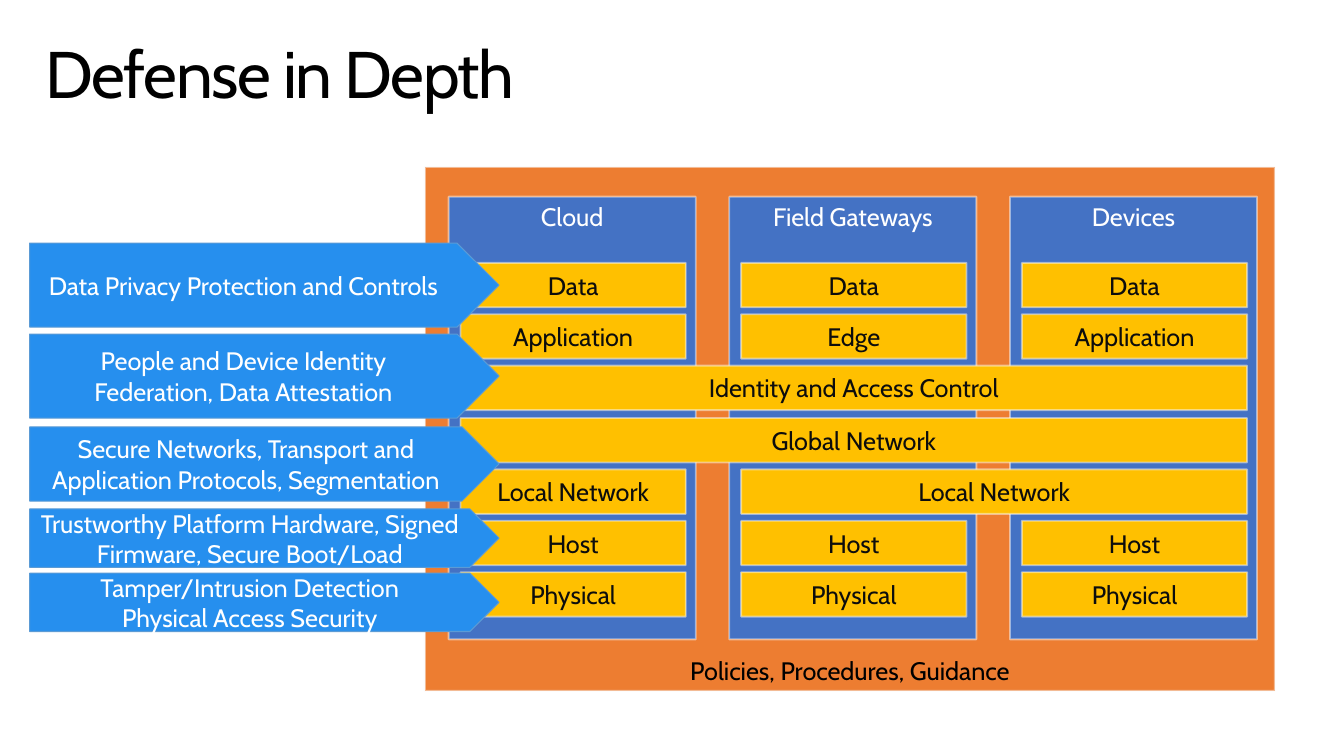
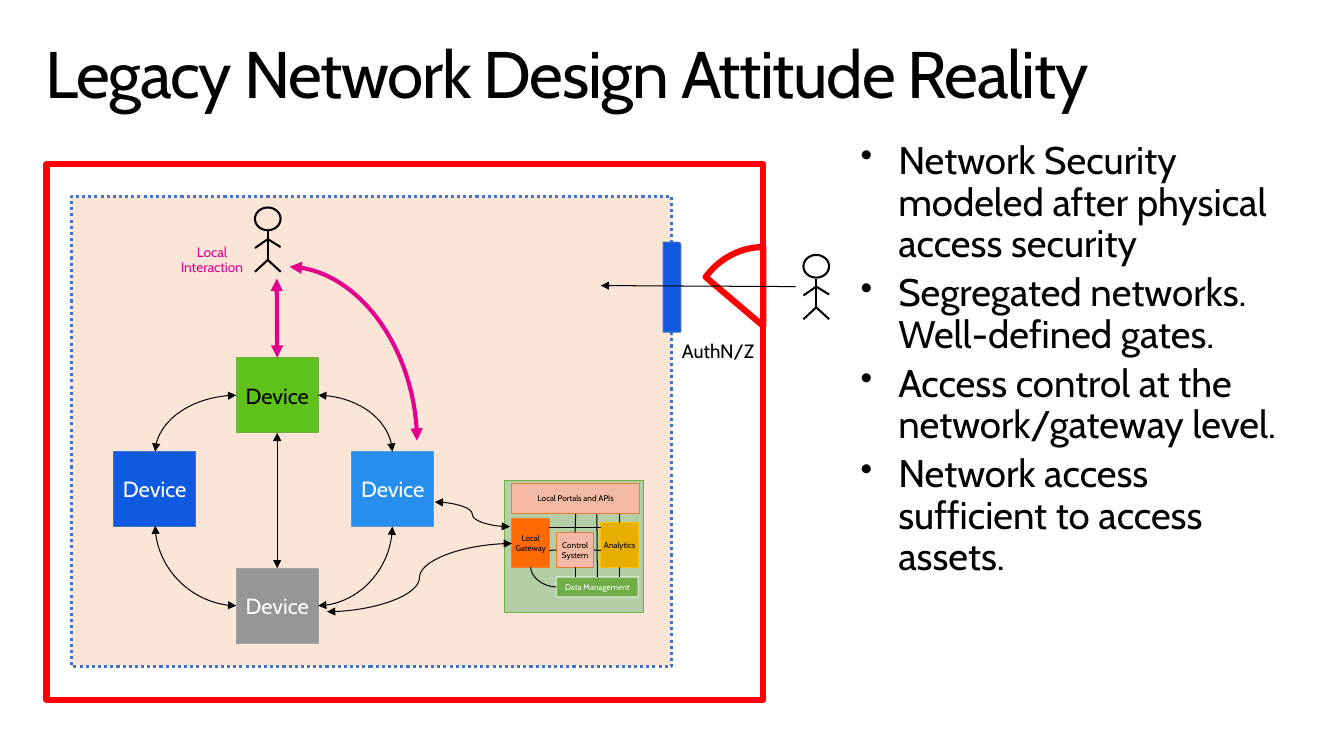
from pptx import Presentation
from pptx.dml.color import RGBColor
from pptx.enum.shapes import MSO_CONNECTOR, MSO_SHAPE
from pptx.enum.text import MSO_ANCHOR, MSO_AUTO_SIZE, PP_ALIGN
from pptx.oxml.ns import qn
from pptx.oxml.xmlchemy import OxmlElement
from pptx.util import Pt

PX = 9144  # 100 px to the inch
FONT = "Cabin"
BLACK = RGBColor(0x00, 0x00, 0x00)
INK = RGBColor(0x0D, 0x0D, 0x0D)
WHITE = RGBColor(0xFF, 0xFF, 0xFF)
PALE = RGBColor(0xF9, 0xF9, 0xF9)
ORANGE = RGBColor(0xED, 0x7D, 0x31)
BLUE = RGBColor(0x44, 0x72, 0xC4)
GOLD = RGBColor(0xFF, 0xC0, 0x00)
SKY = RGBColor(0x26, 0x8F, 0xEE)
SKY_EDGE = RGBColor(0x5B, 0x9B, 0xD5)
PEACH = RGBColor(0xFB, 0xE5, 0xD6)
ROYAL = RGBColor(0x0F, 0x5A, 0xE0)
GRAY = RGBColor(0x96, 0x96, 0x96)
GRAY_EDGE = RGBColor(0xA5, 0xA5, 0xA5)
LIME = RGBColor(0x5E, 0xC2, 0x1B)
GREEN = RGBColor(0x70, 0xAD, 0x47)
SAGE = RGBColor(0xB4, 0xCF, 0xA8)
VIVID_ORANGE = RGBColor(0xFF, 0x6A, 0x05)
SALMON = RGBColor(0xF3, 0xB9, 0xA4)
AMBER = RGBColor(0xE7, 0xAE, 0x00)
PINK = RGBColor(0xE3, 0x00, 0x8C)
RED = RGBColor(0xFF, 0x00, 0x00)


def block(shapes, at, text="", item=None, kind=None, fill=None, line=None,
          width=0.75, alpha=None, dash=None, adjust=(), size=18.4, color=BLACK,
          align=PP_ALIGN.CENTER, anchor=MSO_ANCHOR.MIDDLE, inset=(10, 5),
          leading=None, before=0, bullet=None, spacing=None):
    """Place a preset shape, a text box or a given placeholder; each line of text is a paragraph."""
    place = [v * PX for v in at]
    if item is not None:
        item.left, item.top, item.width, item.height = place
    elif kind is None:
        item = shapes.add_textbox(*place)
    else:
        item = shapes.add_shape(kind, *place)
        item.shadow.inherit = False
        for index, value in enumerate(adjust):
            item.adjustments[index] = value
        if fill is None:
            item.fill.background()
        else:
            item.fill.solid()
            item.fill.fore_color.rgb = fill
        item.line.color.rgb = line
        item.line.width = Pt(width)
        if dash:
            item.line.dash_style = None
            preset = OxmlElement("a:prstDash")
            preset.set("val", dash)
            item.element.spPr.find(qn("a:ln")).append(preset)
        if alpha:
            opacity = OxmlElement("a:alpha")
            opacity.set("val", str(alpha * 1000))
            item.element.spPr.find(qn("a:ln")).find(".//" + qn("a:srgbClr")).append(opacity)
    if not text:
        return item

    frame = item.text_frame
    frame.word_wrap = True
    frame.auto_size = MSO_AUTO_SIZE.NONE
    frame.vertical_anchor = anchor
    frame.margin_left = frame.margin_right = inset[0] * PX
    frame.margin_top = frame.margin_bottom = inset[1] * PX
    frame.text = text
    for index, paragraph in enumerate(frame.paragraphs):
        paragraph.alignment = align
        paragraph.line_spacing = leading
        paragraph.space_before = Pt(before if index else 0)
        if bullet:
            properties = paragraph._p.get_or_add_pPr()
            properties.set("marL", str(38 * PX))
            properties.set("indent", str(-38 * PX))
            for tag, key, value in (("a:buSzPct", "val", "90000"), ("a:buChar", "char", bullet)):
                mark = OxmlElement(tag)
                mark.set(key, value)
                properties.append(mark)
        for run in paragraph.runs:
            run.font.name = FONT
            run.font.size = Pt(size)
            run.font.color.rgb = color
            if spacing:
                run.font._element.set("spc", str(spacing))
    return item


def link(shapes, start, end, curve=None, color=BLACK, width=0.75, heads=(),
         begin=None, finish=None):
    """Draw a connector; a curve is a preset name, begin and finish are (shape, side) pairs."""
    kind = MSO_CONNECTOR.CURVE if curve else MSO_CONNECTOR.STRAIGHT
    line = shapes.add_connector(kind, *(v * PX for v in (*start, *end)))
    properties = line.element.spPr
    if curve:
        properties.find(qn("a:prstGeom")).set("prst", curve)
    if begin:
        line.begin_connect(*begin)
    if finish:
        line.end_connect(*finish)
    line.line.color.rgb = color
    line.line.width = Pt(width)
    for tag in heads:
        head = OxmlElement(tag)
        head.set("type", "triangle")
        properties.find(qn("a:ln")).append(head)
    properties.append(OxmlElement("a:effectLst"))


TO_END = ("a:tailEnd",)
BOTH = ("a:headEnd", "a:tailEnd")
QUARTER, S_CURVE = "curvedConnector2", "curvedConnector3"
SOFT_EDGE = dict(line=PALE, width=1.35, alpha=50)

deck = Presentation()
deck.slide_width, deck.slide_height = 1360 * PX, 765 * PX
pages = []
for heading in ("Defense in Depth", "Legacy Network Design Attitude Reality"):
    page = deck.slides.add_slide(deck.slide_layouts[5])
    block(page.shapes, (30, 32, 1300, 100), heading, item=page.shapes.title, size=48,
          align=PP_ALIGN.LEFT, anchor=MSO_ANCHOR.TOP, inset=(16, 10), leading=0.9, spacing=-100)
    pages.append(page.shapes)
defense, legacy = pages

# Defense in depth: layers across three zones
block(defense, (430, 169, 860, 530), "Policies, Procedures, Guidance",
      kind=MSO_SHAPE.FLOWCHART_PROCESS, fill=ORANGE, anchor=MSO_ANCHOR.BOTTOM, **SOFT_EDGE)
ZONE_LEFT, ZONE_STEP, LAYER_TOP, LAYER_STEP, LAYER_WIDTH = 454, 284, 266, 52.2, 228
for column, zone in enumerate(("Cloud", "Field Gateways", "Devices")):
    block(defense, (ZONE_LEFT + column * ZONE_STEP, 199, 250, 448), zone,
          kind=MSO_SHAPE.FLOWCHART_PROCESS, fill=BLUE, color=WHITE,
          anchor=MSO_ANCHOR.TOP, **SOFT_EDGE)

layers = [  # each cell is a label and the number of zones it spans
    [("Data", 1), ("Data", 1), ("Data", 1)],
    [("Application", 1), ("Edge", 1), ("Application", 1)],
    [("Identity and Access Control", 3)],
    [("Global Network", 3)],
    [("Local Network", 1), ("Local Network", 2)],
    [("Host", 1), ("Host", 1), ("Host", 1)],
    [("Physical", 1), ("Physical", 1), ("Physical", 1)],
]
for row, layer in enumerate(layers):
    column = 0
    for label, span in layer:
        block(defense, (ZONE_LEFT + 12 + column * ZONE_STEP, LAYER_TOP + round(row * LAYER_STEP),
                        LAYER_WIDTH + (span - 1) * ZONE_STEP, 45), label,
              kind=MSO_SHAPE.RECTANGLE, fill=GOLD, color=INK, **SOFT_EDGE)
        column += span

for top, height, measure in (
    (246, 85, "Data Privacy Protection and Controls"),
    (338, 85, "People and Device Identity Federation, Data Attestation"),
    (432, 75, "Secure Networks, Transport and Application Protocols, Segmentation"),
    (515, 59, "Trustworthy Platform Hardware, Signed Firmware, Secure Boot/Load"),
    (580, 59, "Tamper/Intrusion Detection\nPhysical Access Security"),
):
    block(defense, (30, top, 475, height), measure, kind=MSO_SHAPE.RIGHT_ARROW,
          adjust=(1, 0.5), fill=SKY, line=SKY_EDGE, color=WHITE)

# Legacy network: statements, then the guarded network
block(legacy, (855, 133, 475, 430),
      "Network Security modeled after physical access security\n"
      "Segregated networks. Well-defined gates.\n"
      "Access control at the network/gateway level.\n"
      "Network access sufficient to access assets.",
      size=28, align=PP_ALIGN.LEFT, anchor=MSO_ANCHOR.TOP, inset=(16, 10),
      leading=0.9, before=5.5, bullet="•")
block(legacy, (72, 199, 608, 475), kind=MSO_SHAPE.RECTANGLE, fill=PEACH, line=BLUE,
      width=2.25, dash="sysDot")

left_device, bottom_device, top_device, right_device = [
    block(legacy, (x, y, 83, 76), "Device", kind=MSO_SHAPE.RECTANGLE, fill=fill, line=edge,
          size=16, color=color, inset=(0, 0))
    for x, y, fill, edge, color in (
        (115, 457, ROYAL, BLUE, WHITE),
        (239, 575, GRAY, GRAY_EDGE, WHITE),
        (239, 362, LIME, GREEN, BLACK),
        (356, 457, SKY, SKY_EDGE, WHITE),
    )
]
for start, end in (((239, 400), (157, 457)), ((239, 613), (157, 532)),
                   ((322, 613), (397, 533)), ((322, 400), (397, 457))):
    link(legacy, start, end, QUARTER, heads=BOTH)
link(legacy, (280, 438), (280, 575), heads=BOTH, begin=(top_device, 2), finish=(bottom_device, 0))

# Local interaction
link(legacy, (280, 282), (280, 362), color=PINK, width=3, heads=BOTH, finish=(top_device, 0))
link(legacy, (293, 270), (422, 446), QUARTER, color=PINK, width=3, heads=BOTH)
block(legacy, (166, 239, 97, 50), "Local\nInteraction", size=10, color=PINK,
      anchor=MSO_ANCHOR.TOP, inset=(10, 10), leading=0.9)

# Local platform
platform = legacy.add_group_shape().shapes
block(platform, (511, 486, 140, 134), kind=MSO_SHAPE.RECTANGLE, fill=SAGE, line=GREEN)
gateway, portals, control, analytics, data = [
    block(platform, at, label, kind=MSO_SHAPE.RECTANGLE, fill=fill, size=6, color=color,
          inset=(0, 0), **edge)
    for at, label, fill, edge, color in (
        ((518, 525, 38, 49), "Local Gateway", VIVID_ORANGE, dict(line=ORANGE), BLACK),
        ((518, 489, 129, 31), "Local Portals and APIs", SALMON, dict(line=ORANGE), BLACK),
        ((563, 539, 38, 35), "Control System", SALMON, dict(line=ORANGE), BLACK),
        ((608, 529, 38, 45), "Analytics", AMBER, dict(line=GOLD), BLACK),
        ((563, 584, 83, 20), "Data Management", GREEN, SOFT_EDGE, WHITE),
    )
]
for start, end, begin, finish in (
    ((556, 534), (608, 534), None, None),
    ((601, 557), (608, 557), (control, 3), None),
    ((556, 557), (563, 557), None, (control, 1)),
    ((582, 574), (582, 584), (control, 2), None),
    ((627, 574), (627, 584), (analytics, 2), None),
    ((582, 520), (582, 539), (portals, 2), (control, 0)),
    ((627, 520), (627, 529), None, (analytics, 0)),
    ((604, 520), (604, 584), None, (data, 0)),
):
    link(platform, start, end, begin=begin, finish=finish)
link(platform, (563, 594), (537, 574), QUARTER)
link(legacy, (331, 619), (518, 550), S_CURVE, heads=BOTH)
link(legacy, (440, 508), (516, 533), S_CURVE, heads=BOTH)

# Outer wall, its open door and the gate
block(legacy, (47, 166, 725, 542), kind=MSO_SHAPE.RECTANGLE, line=RED, width=4.5)
block(legacy, (698, 250, 149, 160), kind=MSO_SHAPE.PIE, adjust=(132.189, 162),
      line=RED, width=4.5)
block(legacy, (671, 245, 18, 91), kind=MSO_SHAPE.ROUND_1_RECTANGLE, fill=ROYAL, line=BLUE)

# People inside and outside
for x, y in ((258, 210), (813, 258)):
    person = legacy.add_group_shape().shapes
    block(person, (x, y, 26, 23), kind=MSO_SHAPE.OVAL, line=BLACK, width=1.5)
    for joint, limb_end in ((24, (13, 53)), (53, (0, 65)), (53, (26, 65)),
                            (32, (0, 41)), (32, (26, 40))):
        link(person, (x + 13, y + joint), (x + limb_end[0], y + limb_end[1]), width=1.5)
link(legacy, (805, 290), (608, 289), heads=TO_END)
block(legacy, (670, 330, 122, 54), "AuthN/Z", size=14, align=PP_ALIGN.LEFT,
      anchor=MSO_ANCHOR.TOP, inset=(20, 16), leading=0.9)

deck.save("out.pptx")
